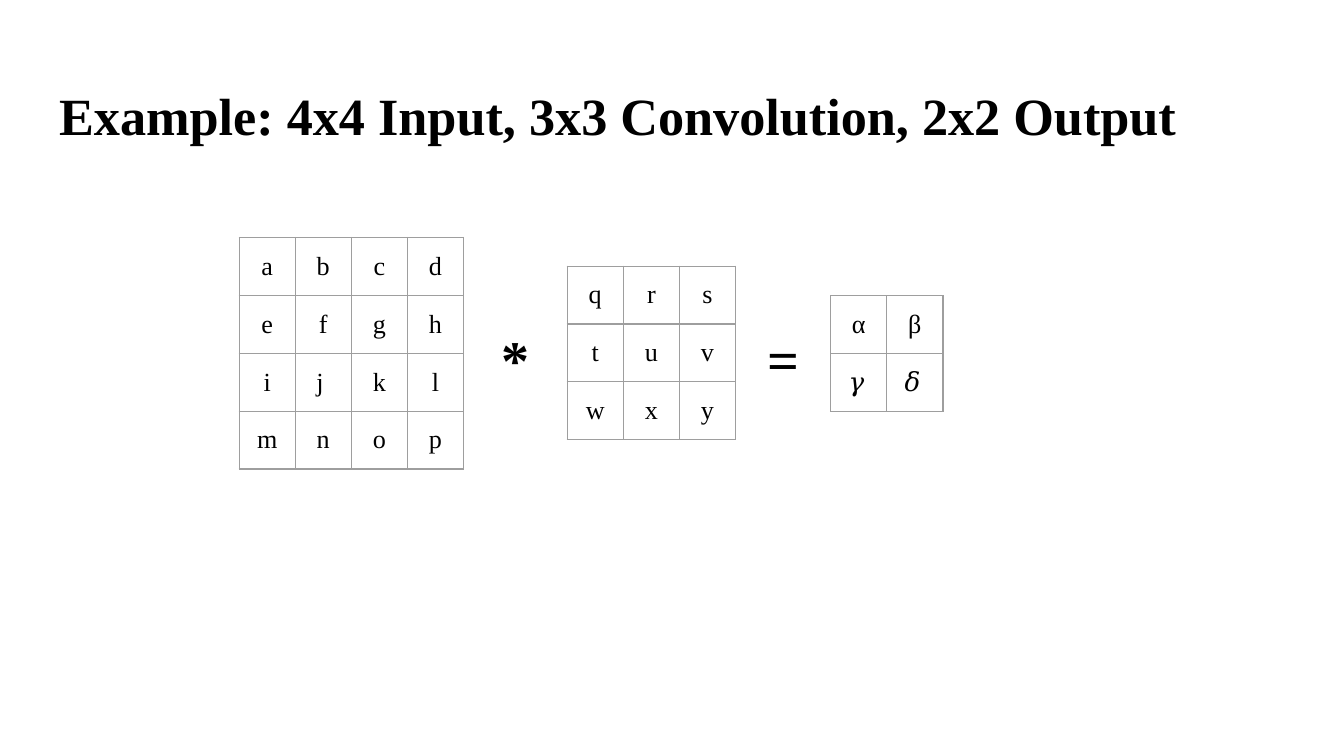
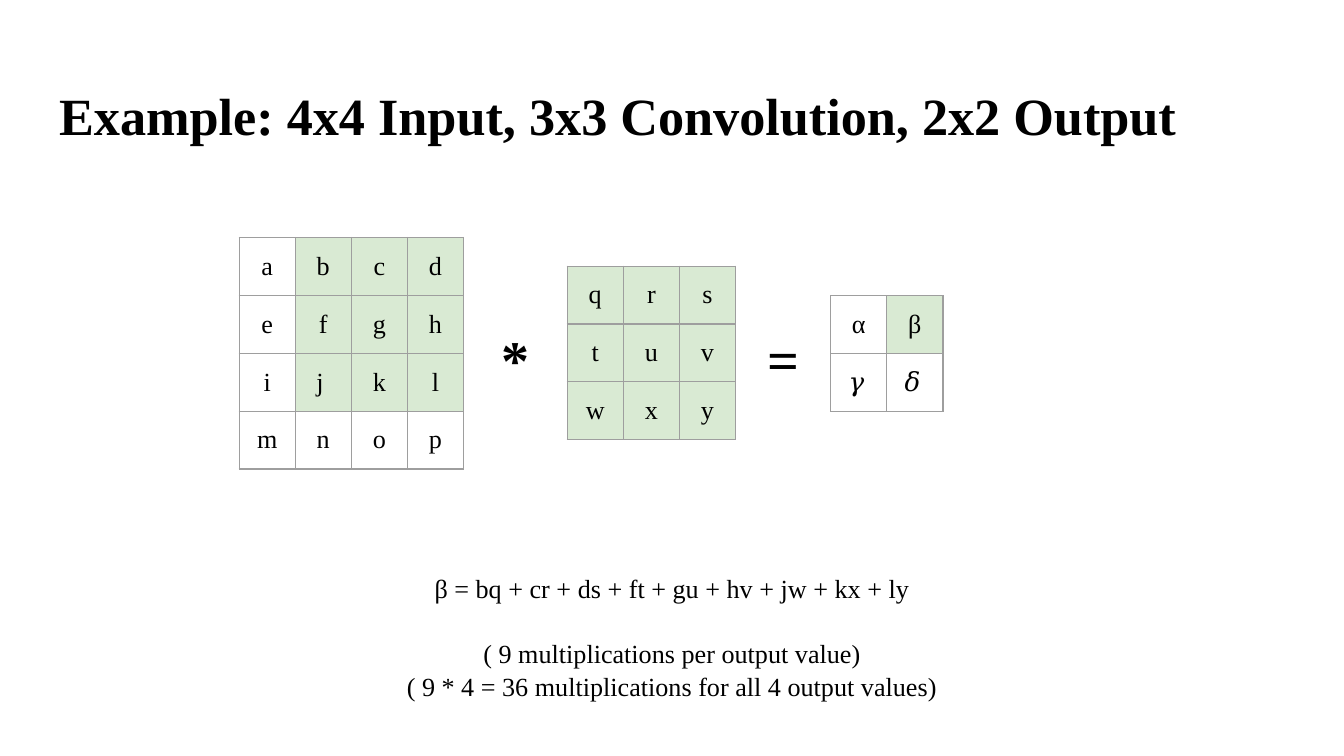
from dataclasses import dataclass

from lxml import etree
from pptx import Presentation
from pptx.dml.color import RGBColor
from pptx.enum.text import MSO_ANCHOR, PP_ALIGN
from pptx.oxml.ns import qn
from pptx.util import Cm, Pt

LEFT, CENTER = PP_ALIGN.LEFT, PP_ALIGN.CENTER
TOP, MIDDLE = MSO_ANCHOR.TOP, MSO_ANCHOR.MIDDLE


@dataclass(frozen=True)
class Theme:
    font: str = "Times New Roman"
    ink: str = "000000"
    grid: str = "9E9E9E"
    mark: str = "D9EAD3"
    title: int = 28
    sign: int = 30
    body: int = 14
    rule: float = 0.75
    pad: float = 0.25
    lead: float = 1.07
    gap: int = 17


THEME = Theme()

TITLE = "Example: 4x4 Input, 3x3 Convolution, 2x2 Output"

# rows, left, top, row height (cm)
GRIDS = [
    (["abcd", "efgh", ["i", "j ", "k", "l"], "mnop"], 4.52, 4.49, 1.05),
    (["qrs", "tuv", "wxy"], 10.72, 5.03, 1.08),
    (["αβ", "𝛾𝛿"], 15.7, 5.59, 1.08),
]
COL = 1.06

# sign, left (cm)
SIGNS = [("*", 9.14), ("=", 14.2)]

# marked cells, notes below the grids
SLIDES = [
    ("", []),
    ("bcdfghjklqrstuvwxyβ", [
        "β = bq + cr + ds + ft + gu + hv + jw + kx + ly",
        "( 9 multiplications per output value)",
        "( 9 * 4 = 36 multiplications for all 4 output values)",
    ]),
]


def style(para, size, bold=False, align=CENTER):
    para.alignment = align
    for run in para.runs:
        font = run.font
        font.name, font.size, font.bold = THEME.font, Pt(size), bold
        font.color.rgb = RGBColor.from_string(THEME.ink)


def add_text(slide, lines, box, size, bold=False, align=CENTER, anchor=TOP, lead=1.0):
    frame = slide.shapes.add_textbox(*map(Cm, box)).text_frame
    frame.word_wrap = True
    frame.vertical_anchor = anchor
    frame.margin_left = frame.margin_right = Cm(THEME.pad)
    frame.margin_top = frame.margin_bottom = Cm(THEME.pad)
    frame.text = "\n".join(lines)
    for para in frame.paragraphs:
        style(para, size, bold, align)
        para.line_spacing = lead
    return frame


def add_edges(cell):
    """Draw a thin line on all four sides of a cell."""
    props = cell._tc.get_or_add_tcPr()
    for spot, side in enumerate("LRTB"):
        line = etree.Element(qn(f"a:ln{side}"), w=str(Pt(THEME.rule)))
        fill = etree.SubElement(line, qn("a:solidFill"))
        etree.SubElement(fill, qn("a:srgbClr"), val=THEME.grid)
        props.insert(spot, line)


def add_grid(slide, rows, left, top, high, marks):
    count, wide = len(rows), len(rows[0])
    table = slide.shapes.add_table(
        count, wide, Cm(left), Cm(top), Cm(COL * wide), Cm(high * count)).table
    table.first_row = table.horz_banding = False
    for col in table.columns:
        col.width = Cm(COL)
    for r, row in enumerate(rows):
        table.rows[r].height = Cm(high)
        for c, text in enumerate(row):
            cell = table.cell(r, c)
            cell.text_frame.text = text
            cell.vertical_anchor = MIDDLE
            cell.margin_left = cell.margin_right = Cm(THEME.pad)
            cell.margin_top = cell.margin_bottom = Cm(THEME.pad)
            style(cell.text_frame.paragraphs[0], THEME.body)
            if text.strip() in marks:
                cell.fill.solid()
                cell.fill.fore_color.rgb = RGBColor.from_string(THEME.mark)
            else:
                cell.fill.background()
            add_edges(cell)


def add_slide(deck, marks, notes):
    slide = deck.slides.add_slide(deck.slide_layouts[6])
    add_text(slide, [TITLE], (0.87, 1.24, 23.67, 1.6), THEME.title,
             bold=True, align=LEFT, lead=THEME.lead)
    if notes:
        frame = add_text(slide, notes, (0.87, 10.52, 23.67, 2.26),
                         THEME.body, lead=THEME.lead)
        frame.paragraphs[1].space_before = Pt(THEME.gap)
    for grid in GRIDS:
        add_grid(slide, *grid, marks)
    for sign, left in SIGNS:
        add_text(slide, [sign], (left, 6.17, 1.22, 1.19), THEME.sign,
                 bold=True, anchor=MIDDLE)


def main():
    deck = Presentation()
    deck.slide_width, deck.slide_height = Cm(25.4), Cm(14.29)
    for marks, notes in SLIDES:
        add_slide(deck, marks, notes)
    deck.save("out.pptx")


if __name__ == "__main__":
    main()
